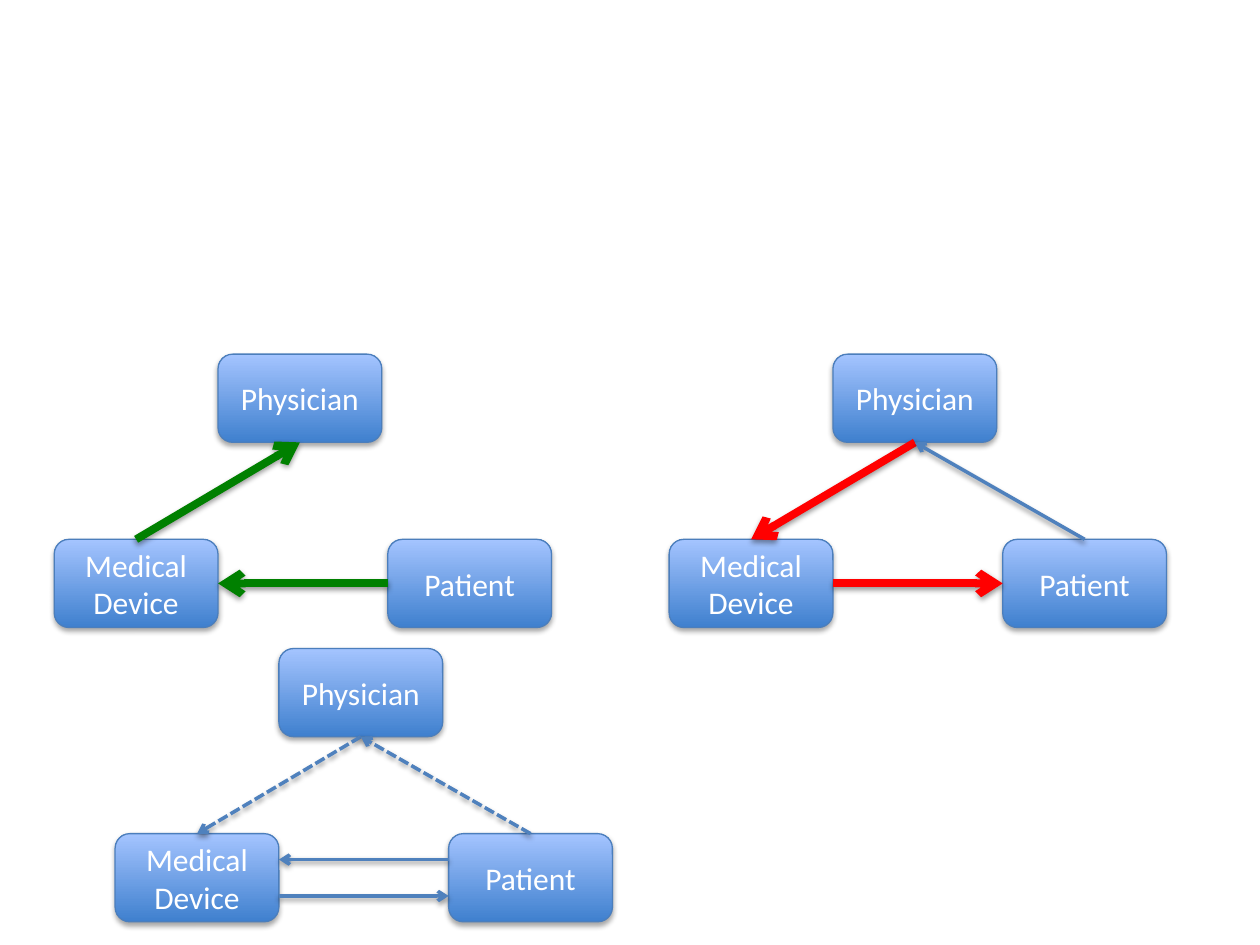
from dataclasses import dataclass

from lxml import etree
from pptx import Presentation
from pptx.dml.color import RGBColor
from pptx.enum import dml, shapes, text
from pptx.oxml import ns
from pptx.util import Pt

COLORS = {"light": "A4C4FF", "dark": "3F80CE", "border": "4B7EBC", "text": "FFFFFF",
          "blue": "4F81BD", "red": "FF0000", "green": "008000", "shadow": "000000"}
BOX_W, BOX_H = 93.6, 50.4
TOP, LEFT, BOTTOM, RIGHT = range(4)

# Box offsets from the top left of a triangle
OFFSETS = {"Medical\nDevice": (0, 105.8), "Patient": (190.6, 105.8), "Physician": (BOX_W, 0)}
DEVICE, PATIENT, PHYSICIAN = OFFSETS


@dataclass
class Link:
    start: str
    start_side: int
    end: str
    end_side: int
    color: str = "blue"
    width: float = 2
    dashed: bool = False
    shift: float = 0  # vertical distance from the side's middle


@dataclass
class Triangle:
    x: float
    y: float
    links: list[Link]


TRIANGLES = [
    Triangle(382.4, 202.4, [
        Link(PHYSICIAN, BOTTOM, DEVICE, TOP, "red", 4.5),
        Link(DEVICE, RIGHT, PATIENT, LEFT, "red", 4.5),
        Link(PATIENT, TOP, PHYSICIAN, BOTTOM)]),
    Triangle(31, 202.4, [
        Link(DEVICE, TOP, PHYSICIAN, BOTTOM, "green", 4.5),
        Link(PATIENT, LEFT, DEVICE, RIGHT, "green", 4.5)]),
    Triangle(65.8, 370.6, [
        Link(PHYSICIAN, BOTTOM, DEVICE, TOP, dashed=True),
        Link(DEVICE, RIGHT, PATIENT, LEFT, shift=10.4),
        Link(PATIENT, TOP, PHYSICIAN, BOTTOM, dashed=True),
        Link(PATIENT, LEFT, DEVICE, RIGHT, shift=-10.4)]),
]


def rgb(name: str) -> RGBColor:
    return RGBColor.from_string(COLORS[name])


def add_shadow(sp, distance: float, opacity: int) -> None:
    effects = etree.SubElement(sp._element.spPr, ns.qn("a:effectLst"))
    shadow = etree.SubElement(effects, ns.qn("a:outerShdw"), blurRad=str(Pt(3.1)),
                              dist=str(Pt(distance)), dir="5400000", rotWithShape="0")
    color = etree.SubElement(shadow, ns.qn("a:srgbClr"), val=COLORS["shadow"])
    etree.SubElement(color, ns.qn("a:alpha"), val=str(opacity * 1000))


def add_box(group, label: str, x: float, y: float):
    sp = group.shapes.add_shape(shapes.MSO_SHAPE.ROUNDED_RECTANGLE,
                                Pt(x), Pt(y), Pt(BOX_W), Pt(BOX_H))
    sp.fill.gradient()
    sp.fill.gradient_angle = 90
    for stop, name in zip(sp.fill.gradient_stops, ("dark", "light")):
        stop.color.rgb = rgb(name)
    sp.line.color.rgb = rgb("border")
    sp.line.width = Pt(0.75)
    add_shadow(sp, 1.8, 35)
    tf = sp.text_frame
    tf.text = label
    tf.word_wrap = True
    tf.vertical_anchor = text.MSO_ANCHOR.MIDDLE
    for p in tf.paragraphs:
        p.alignment = text.PP_ALIGN.CENTER
        p.font.name = "Calibri"
        p.font.size = Pt(18)
        p.font.color.rgb = rgb("text")
    return sp


def side_middle(sp, side: int) -> tuple[int, int]:
    fx, fy = ((0.5, 0), (0, 0.5), (0.5, 1), (1, 0.5))[side]
    return int(sp.left + sp.width * fx), int(sp.top + sp.height * fy)


def add_link(group, boxes: dict, link: Link) -> None:
    start, end = boxes[link.start], boxes[link.end]
    x1, y1 = side_middle(start, link.start_side)
    x2, y2 = side_middle(end, link.end_side)
    shift = Pt(link.shift)
    cx = group.shapes.add_connector(shapes.MSO_CONNECTOR.STRAIGHT,
                                    x1, y1 + shift, x2, y2 + shift)
    if not link.shift:
        cx.begin_connect(start, link.start_side)
        cx.end_connect(end, link.end_side)
    cx.line.color.rgb = rgb(link.color)
    cx.line.width = Pt(link.width)
    if link.dashed:
        cx.line.dash_style = dml.MSO_LINE.SQUARE_DOT
    etree.SubElement(cx.line._get_or_add_ln(), ns.qn("a:tailEnd"), type="arrow")
    add_shadow(cx, 1.6, 38)


def add_triangle(s, triangle: Triangle) -> None:
    group = s.shapes.add_group_shape()
    boxes = {label: add_box(group, label, triangle.x + dx, triangle.y + dy)
             for label, (dx, dy) in OFFSETS.items()}
    for link in triangle.links:
        add_link(group, boxes, link)


def main() -> None:
    prs = Presentation()
    prs.slide_width, prs.slide_height = Pt(720), Pt(540)
    s = prs.slides.add_slide(prs.slide_layouts[6])
    for triangle in TRIANGLES:
        add_triangle(s, triangle)
    prs.save("out.pptx")


if __name__ == "__main__":
    main()
